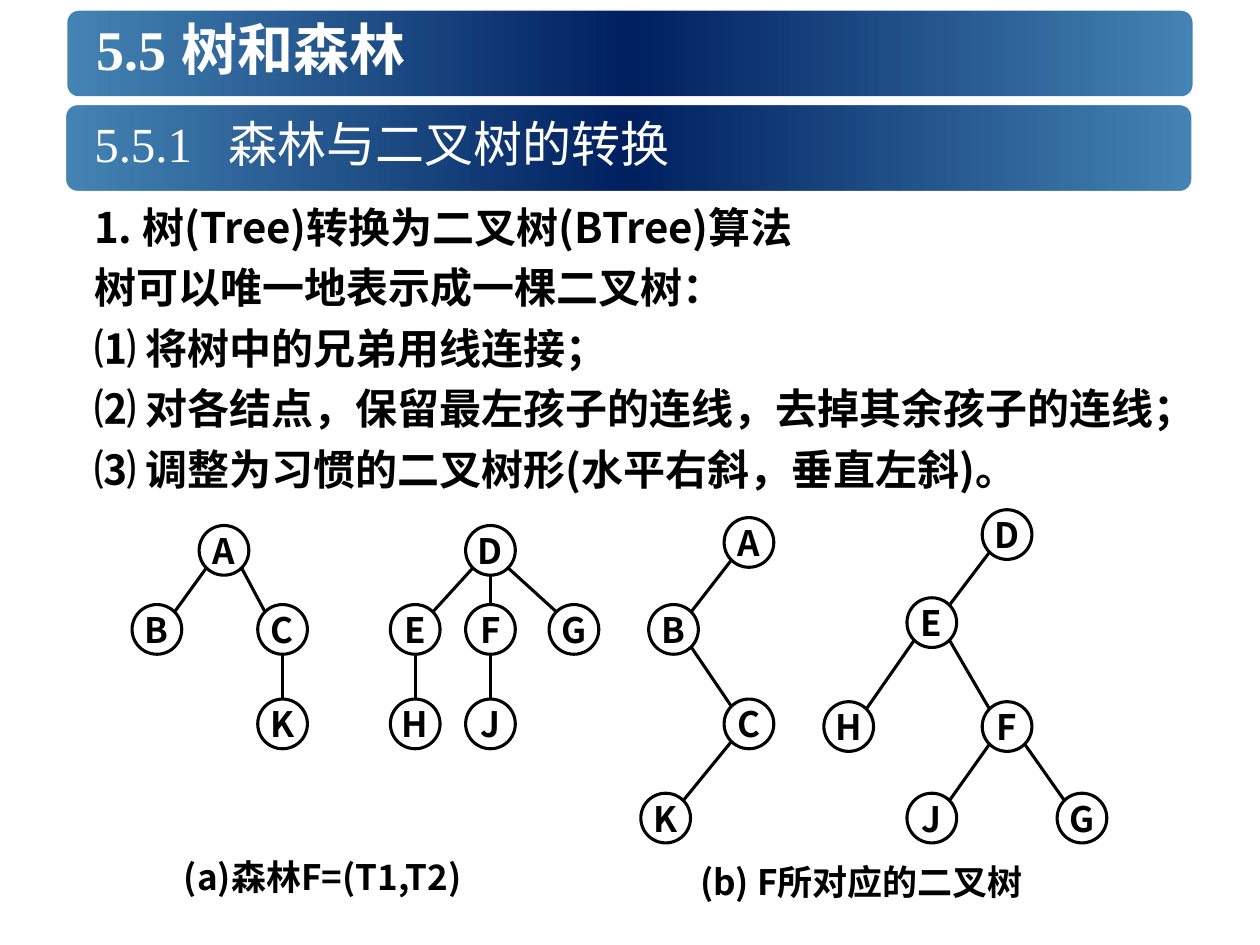
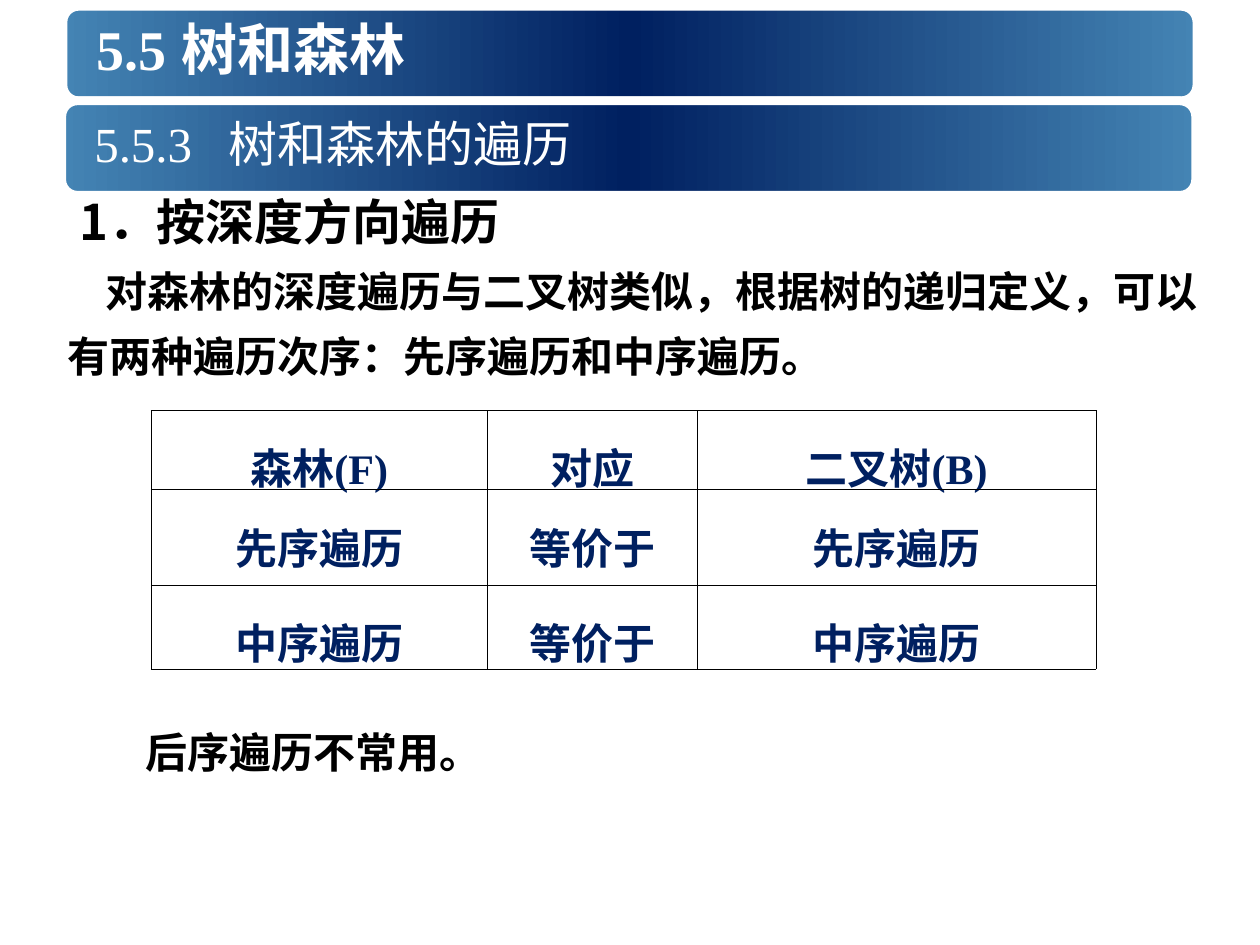
from copy import deepcopy
from dataclasses import dataclass

from lxml.etree import SubElement
from pptx import Presentation
from pptx.dml.color import RGBColor
from pptx.enum.shapes import MSO_CONNECTOR, MSO_SHAPE
from pptx.enum.text import MSO_ANCHOR, PP_ALIGN
from pptx.oxml import parse_xml
from pptx.oxml.ns import nsdecls, qn
from pptx.util import Pt


@dataclass(frozen=True)
class Theme:
    navy: RGBColor = RGBColor(0x00, 0x20, 0x60)
    steel: RGBColor = RGBColor(0x44, 0x84, 0xB4)
    white: RGBColor = RGBColor(0xFF, 0xFF, 0xFF)
    black: RGBColor = RGBColor(0x00, 0x00, 0x00)
    serif: str = "Times New Roman"
    sans: str = "Noto Sans CJK SC"
    title: int = 32
    head: int = 28
    body: int = 24
    node: int = 20
    stroke: float = 1.75


theme = Theme()


def write(frame, lines, size, color=theme.black, face=theme.sans, bold=True,
          align=PP_ALIGN.LEFT, space=1.0, tab=None):
    """Fill a text frame, one paragraph per line, all in one style."""
    frame.text = "\n".join(lines)
    for para in frame.paragraphs:
        para.alignment = align
        para.line_spacing = space
        if tab:
            stops = SubElement(para._p.get_or_add_pPr(), qn("a:tabLst"))
            SubElement(stops, qn("a:tab"), pos=str(Pt(tab)), algn="l")
        font = para.font
        font.size, font.bold, font.name = Pt(size), bold, face
        font.color.rgb = color
        SubElement(font._rPr, qn("a:ea"), typeface=theme.sans)


def box(slide, left, top, width, height):
    """Add a wrapping text box and return its frame."""
    frame = slide.shapes.add_textbox(
        Pt(left), Pt(top), Pt(width), Pt(height)).text_frame
    frame.word_wrap = True
    return frame


deck = Presentation()
deck.slide_width, deck.slide_height = Pt(720), Pt(540)

# Shared title and section bands
slides = []
for section in ("5.5.1\t森林与二叉树的转换", "5.5.3\t树和森林的遍历"):
    slide = deck.slides.add_slide(deck.slide_layouts[5])
    slides.append(slide)
    for order, (left, top) in enumerate([(36, 3.6), (35.3, 57.6)]):
        band = slide.shapes.add_shape(
            MSO_SHAPE.ROUNDED_RECTANGLE, Pt(left), Pt(top), Pt(648), Pt(54))
        band.shadow.inherit = False
        band.fill.gradient()
        band.fill.gradient_angle = 0
        stops = band._element.xpath(".//a:gsLst")[0]
        stops.insert(1, deepcopy(stops[0]))
        shades = (theme.steel, theme.navy, theme.steel)
        for stop, shade, place in zip(band.fill.gradient_stops, shades, (0, 0.5, 1)):
            stop.color.rgb = shade
            stop.position = place
        band.line.color.rgb = theme.white
        band.line.width = Pt(5)
        slide.shapes._spTree.insert(2 + order, band._element)

    title = slide.shapes.title
    title.left, title.top = Pt(48.2), Pt(3.6)
    title.width, title.height = Pt(630), Pt(48.2)
    title.text_frame.vertical_anchor = MSO_ANCHOR.MIDDLE
    write(title.text_frame, ["5.5 树和森林"], theme.title, theme.white, theme.serif)

    frame = box(slide, 46.8, 57.6, 630, 48.2)
    frame.vertical_anchor = MSO_ANCHOR.MIDDLE
    write(frame, [section], theme.head, theme.white, theme.serif, bold=False, tab=76.8)

# Slide 1: turning a forest into a binary tree
slide = slides[0]
steps = [
    "1. 树(Tree)转换为二叉树(BTree)算法",
    "树可以唯一地表示成一棵二叉树：",
    "⑴ 将树中的兄弟用线连接；",
    "⑵ 对各结点，保留最左孩子的连线，去掉其余孩子的连线；",
    "⑶ 调整为习惯的二叉树形(水平右斜，垂直左斜)。",
]
write(box(slide, 46.8, 105.8, 659.5, 180), steps, theme.body, space=1.2)

# Each tree lists name, centre x, centre y and parent
trees = [
    [("A", 128, 314.5, None), ("B", 89.7, 359.7, "A"),
     ("C", 161.5, 359.7, "A"), ("K", 161.5, 413.7, "C")],
    [("D", 280.3, 314.5, None), ("E", 237.3, 359.7, "D"),
     ("F", 280.3, 359.7, "D"), ("G", 328, 359.7, "D"),
     ("H", 237.3, 413.7, "E"), ("J", 280.3, 413.7, "F")],
    [("A", 428, 310, None), ("B", 384.9, 359.7, "A"),
     ("C", 428, 413.7, "B"), ("K", 380.4, 467.5, "C")],
    [("D", 575.5, 305.5, None), ("E", 532.5, 355.8, "D"),
     ("H", 485, 415.2, "E"), ("F", 575.5, 415.2, "E"),
     ("J", 532.5, 467.5, "F"), ("G", 618.3, 467.5, "F")],
]
radius = 14.2
for tree in trees:
    spots = {name: (x, y) for name, x, y, _ in tree}
    for name, x, y, above in tree:
        node = slide.shapes.add_shape(
            MSO_SHAPE.OVAL, Pt(x - radius), Pt(y - radius),
            Pt(2 * radius), Pt(2 * radius))
        node.shadow.inherit = False
        node.fill.background()
        node.line.color.rgb = theme.black
        node.line.width = Pt(theme.stroke)
        frame = node.text_frame
        frame.word_wrap = False
        frame.vertical_anchor = MSO_ANCHOR.MIDDLE
        write(frame, [name], theme.node, align=PP_ALIGN.CENTER)
        if above is None:
            continue
        # Edges meet the circles on the diagonal, or straight below
        px, py = spots[above]
        side = (x > px) - (x < px)
        dx = side * radius * 0.71
        dy = radius * (0.71 if side else 1)
        edge = slide.shapes.add_connector(
            MSO_CONNECTOR.STRAIGHT, Pt(px + dx), Pt(py + dy), Pt(x - dx), Pt(y - dy))
        edge.line.color.rgb = theme.black
        edge.line.width = Pt(theme.stroke)
        SubElement(edge._element.spPr, qn("a:effectLst"))

write(box(slide, 98, 485.3, 209, 31.7), ["(a)森林F=(T1,T2)"], theme.node)
write(box(slide, 393, 488.2, 261.4, 31.7), ["(b) F所对应的二叉树"], theme.node)

# Slide 2: walking trees and forests
slide = slides[1]
frame = box(slide, 31.7, 95.8, 671.8, 126)
write(frame, [
    "1．按深度方向遍历",
    "对森林的深度遍历与二叉树类似，根据树的递归定义，可以有两种遍历次序：先序遍历和中序遍历。",
], theme.body, space=1.3)
head, text = frame.paragraphs
head.font.size = Pt(theme.head)
head._p.pPr.set("indent", str(Pt(6.5)))
text._p.pPr.set("indent", str(Pt(21.6)))

rows = [
    ("森林(F)", "对应", "二叉树(B)"),
    ("先序遍历", "等价于", "先序遍历"),
    ("中序遍历", "等价于", "中序遍历"),
]
table = slide.shapes.add_table(3, 3, Pt(86.4), Pt(234.7), Pt(540), Pt(147.6)).table
table.first_row = table.horz_banding = False
for column, width in zip(table.columns, (192, 120, 228)):
    column.width = Pt(width)
for row, height, words in zip(table.rows, (44.6, 55.4, 47.6), rows):
    row.height = Pt(height)
    for cell, word in zip(row.cells, words):
        cell.vertical_anchor = MSO_ANCHOR.MIDDLE
        cell.fill.background()
        write(cell.text_frame, [word], theme.body, theme.navy, theme.serif,
              align=PP_ALIGN.CENTER, space=1.3)
        for order, side in enumerate("LRTB"):
            cell._tc.get_or_add_tcPr().insert(order, parse_xml(
                f'<a:ln{side} {nsdecls("a")} w="{Pt(0.45)}"><a:solidFill>'
                f'<a:srgbClr val="{theme.black}"/></a:solidFill></a:ln{side}>'))

write(box(slide, 76.3, 411.8, 345.6, 36), ["后序遍历不常用。"], theme.body)

deck.save("out.pptx")
